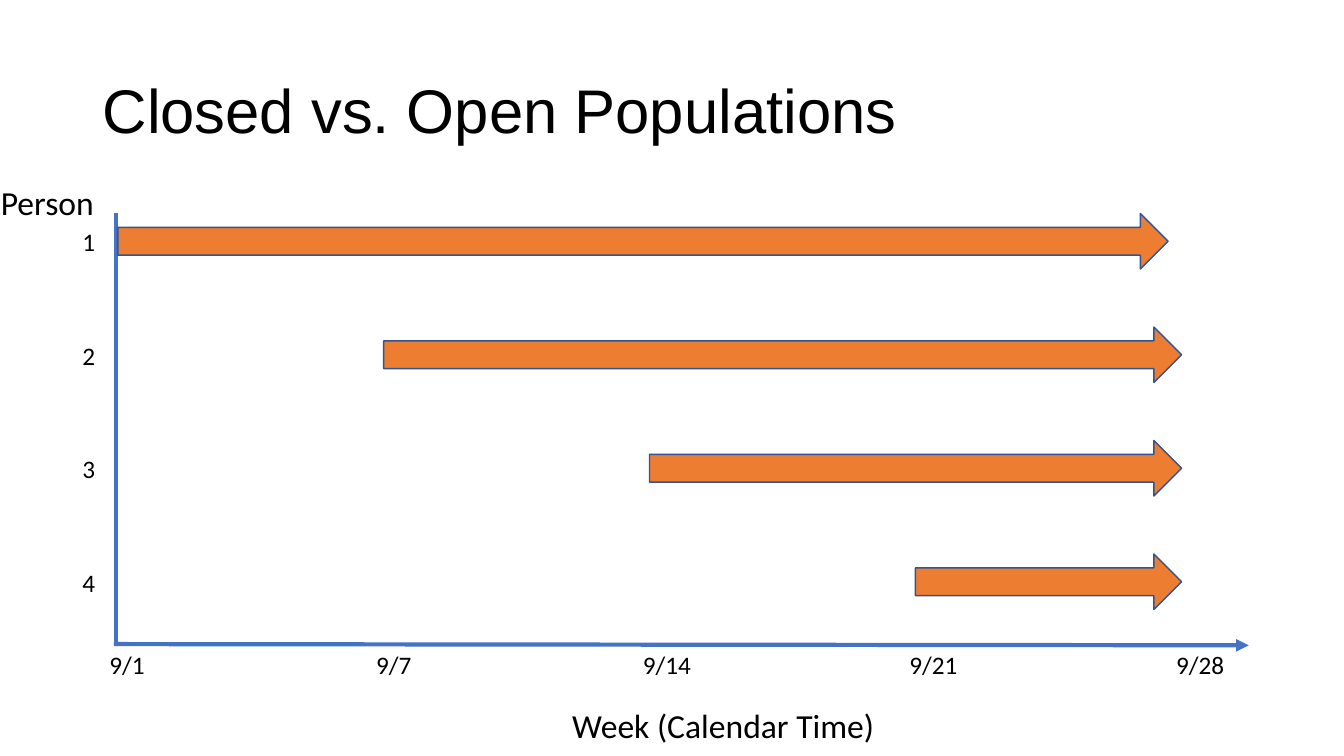
import lxml.etree
import pptx
import pptx.util
import pptx.dml.color
import pptx.enum.shapes
import pptx.enum.text
import pptx.oxml.ns

Cm = pptx.util.Cm
Pt = pptx.util.Pt
RGBColor = pptx.dml.color.RGBColor
qn = pptx.oxml.ns.qn

# Content
TITLE = "Closed vs. Open Populations"
PERSON_AXIS = "Person"
TIME_AXIS = "Week (Calendar Time)"
DATES = ["9/1", "9/7", "9/14", "9/21", "9/28"]
# Person, week of entry, right end of the arrow in cm
PERSONS = [("1", 0, 29.44), ("2", 1, 29.78), ("3", 2, 29.78), ("4", 3, 29.78)]

BLACK = RGBColor(0x00, 0x00, 0x00)
AXIS_BLUE = RGBColor(0x44, 0x72, 0xC4)
ARROW_ORANGE = RGBColor(0xED, 0x7D, 0x31)
ARROW_EDGE = RGBColor(0x32, 0x54, 0x91)

# Layout in cm
ROW_STEP = 2.86
DATE_STEP = 6.72
ENTRY_STEP = 6.7
ARROW_LEFT, ARROW_TOP, ARROW_HEIGHT = 2.97, 5.38, 1.4
AXIS_BOTTOM = 16.23


def format_text(box, text, size, font_name):
    box.text_frame.text = text
    para = box.text_frame.paragraphs[0]
    para.font.size = Pt(size)
    para.font.name = font_name
    para.font.color.rgb = BLACK
    return para


def add_label(page, text, left, top, width, height, size):
    box = page.shapes.add_textbox(Cm(left), Cm(top), Cm(width), Cm(height))
    format_text(box, text, size, "Calibri")
    box.text_frame.word_wrap = False
    box.text_frame.auto_size = pptx.enum.text.MSO_AUTO_SIZE.SHAPE_TO_FIT_TEXT


def add_axis(page, start_x, start_y, end_x, end_y):
    axis = page.shapes.add_connector(
        pptx.enum.shapes.MSO_CONNECTOR.STRAIGHT,
        Cm(start_x), Cm(start_y), Cm(end_x), Cm(end_y))
    axis.line.color.rgb = AXIS_BLUE
    axis.line.width = Pt(3)
    lxml.etree.SubElement(axis._element.spPr, qn("a:effectLst"))
    return axis


def add_follow_up(page, left, top, right):
    arrow = page.shapes.add_shape(
        pptx.enum.shapes.MSO_SHAPE.RIGHT_ARROW,
        Cm(left), Cm(top), Cm(right - left), Cm(ARROW_HEIGHT))
    arrow.shadow.inherit = False
    arrow.fill.solid()
    arrow.fill.fore_color.rgb = ARROW_ORANGE
    arrow.line.color.rgb = ARROW_EDGE
    arrow.line.width = Pt(1)


def main():
    deck = pptx.Presentation()
    deck.slide_width, deck.slide_height = Cm(33.87), Cm(19.05)
    page = deck.slides.add_slide(deck.slide_layouts[5])

    # Title
    title = page.shapes.title
    title.left, title.top = Cm(2.33), Cm(1.01)
    title.width, title.height = Cm(29.21), Cm(3.68)
    para = format_text(title, TITLE, 44, "Arial")
    para.alignment = pptx.enum.text.PP_ALIGN.LEFT
    para.line_spacing = 0.9
    title.text_frame.vertical_anchor = pptx.enum.text.MSO_ANCHOR.MIDDLE
    title.text_frame.auto_size = pptx.enum.text.MSO_AUTO_SIZE.NONE

    # Axes, with an arrowhead on the time axis
    add_axis(page, 2.92, 5.36, 2.92, 16.26)
    time_axis = add_axis(page, 2.87, AXIS_BOTTOM, 31.47, 16.26)
    outline = time_axis._element.spPr.find(qn("a:ln"))
    lxml.etree.SubElement(outline, qn("a:tailEnd"), type="triangle")

    # Axis titles and dates
    add_label(page, TIME_AXIS, 14.17, 17.65, 8.2, 1.28, 24)
    add_label(page, PERSON_AXIS, -0.23, 4.45, 2.87, 1.28, 24)
    for week, date in enumerate(DATES):
        width = 1.42 if len(date) == 3 else 1.73
        add_label(page, date, 2.51 + week * DATE_STEP, AXIS_BOTTOM, width, 1.03, 18)

    # One row per person
    for row, (person, week, right) in enumerate(PERSONS):
        add_label(page, person, 1.83, 5.59 + row * ROW_STEP, 0.84, 1.03, 18)
        add_follow_up(page, ARROW_LEFT + week * ENTRY_STEP,
                      ARROW_TOP + row * ROW_STEP, right)

    deck.save("out.pptx")


if __name__ == "__main__":
    main()
